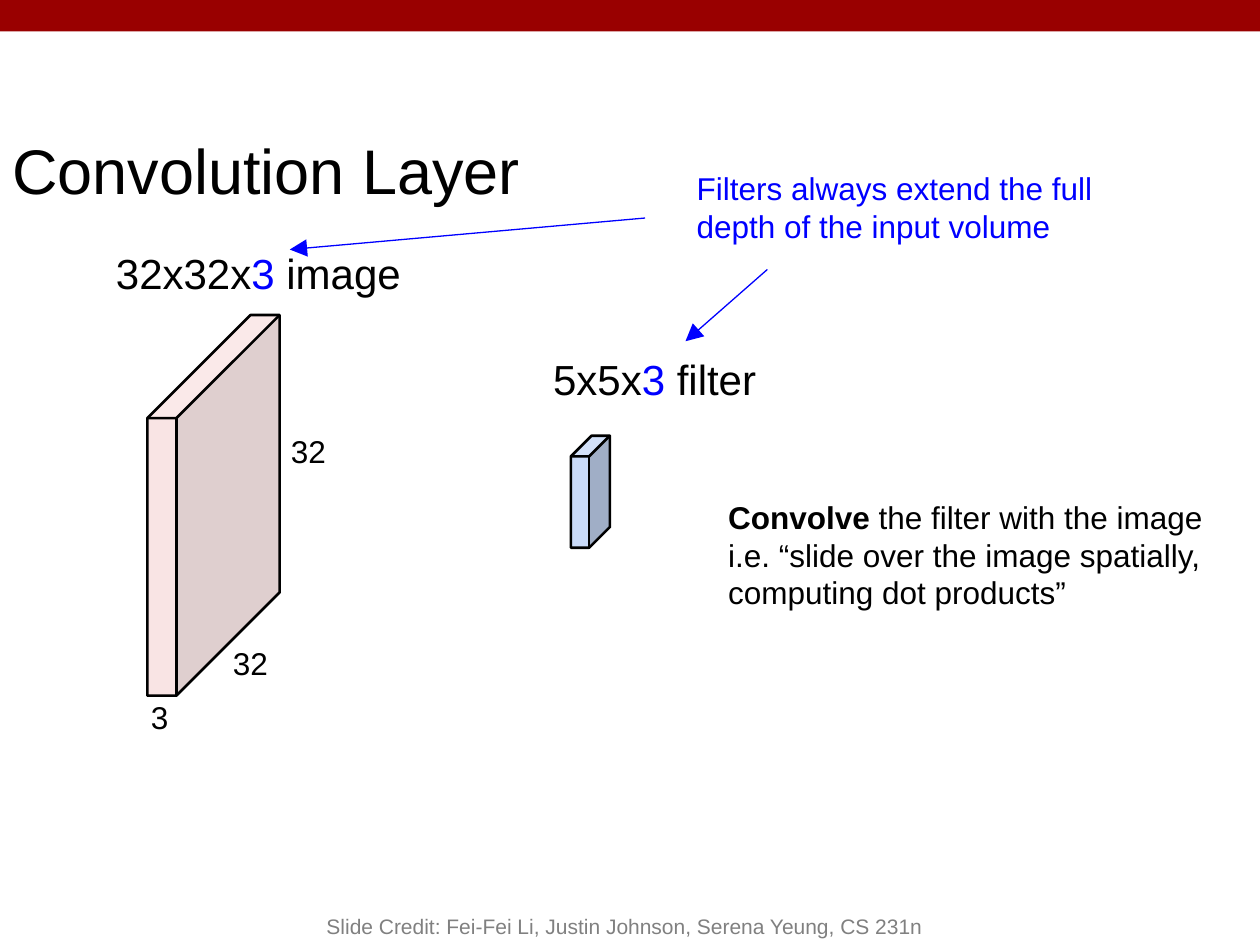
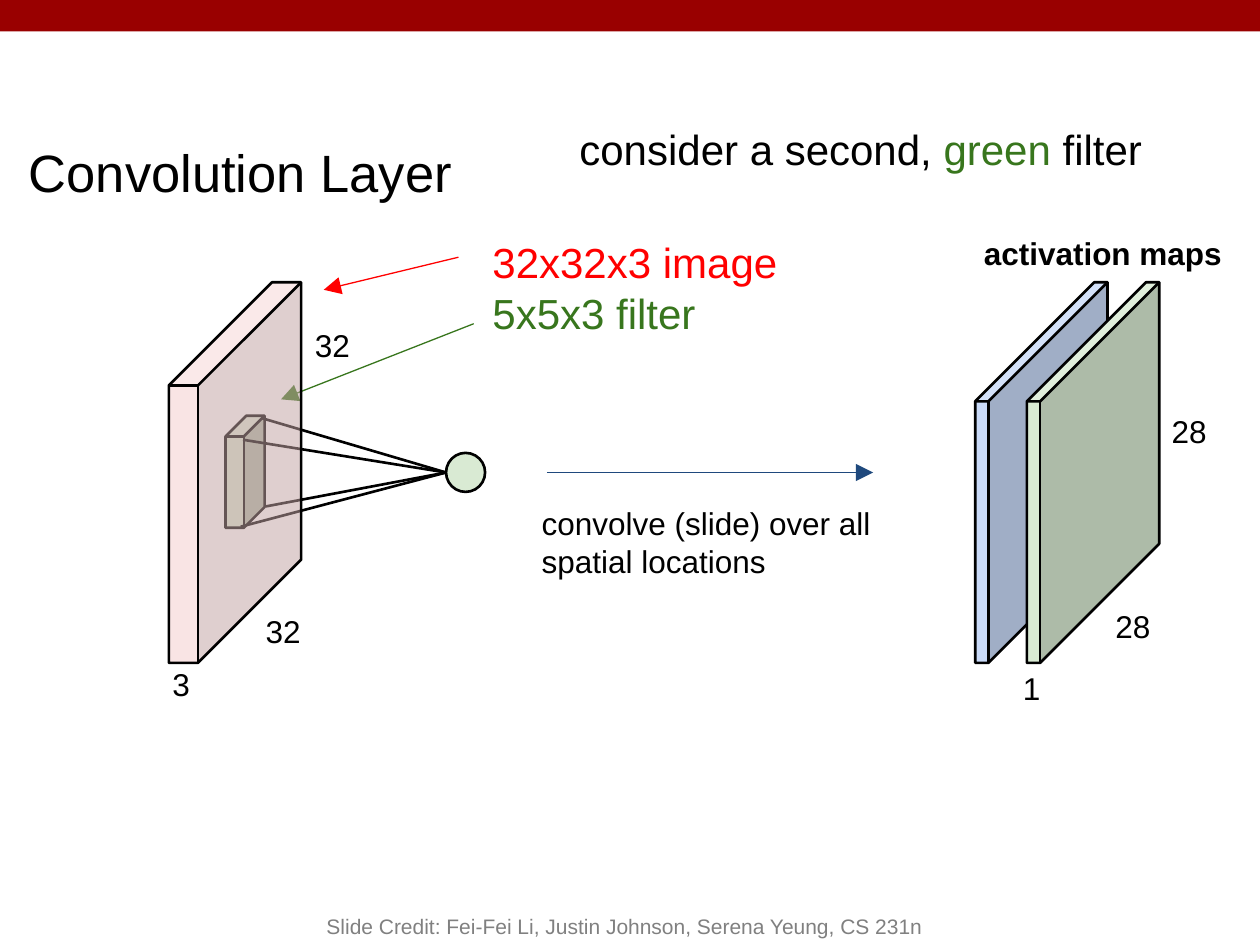
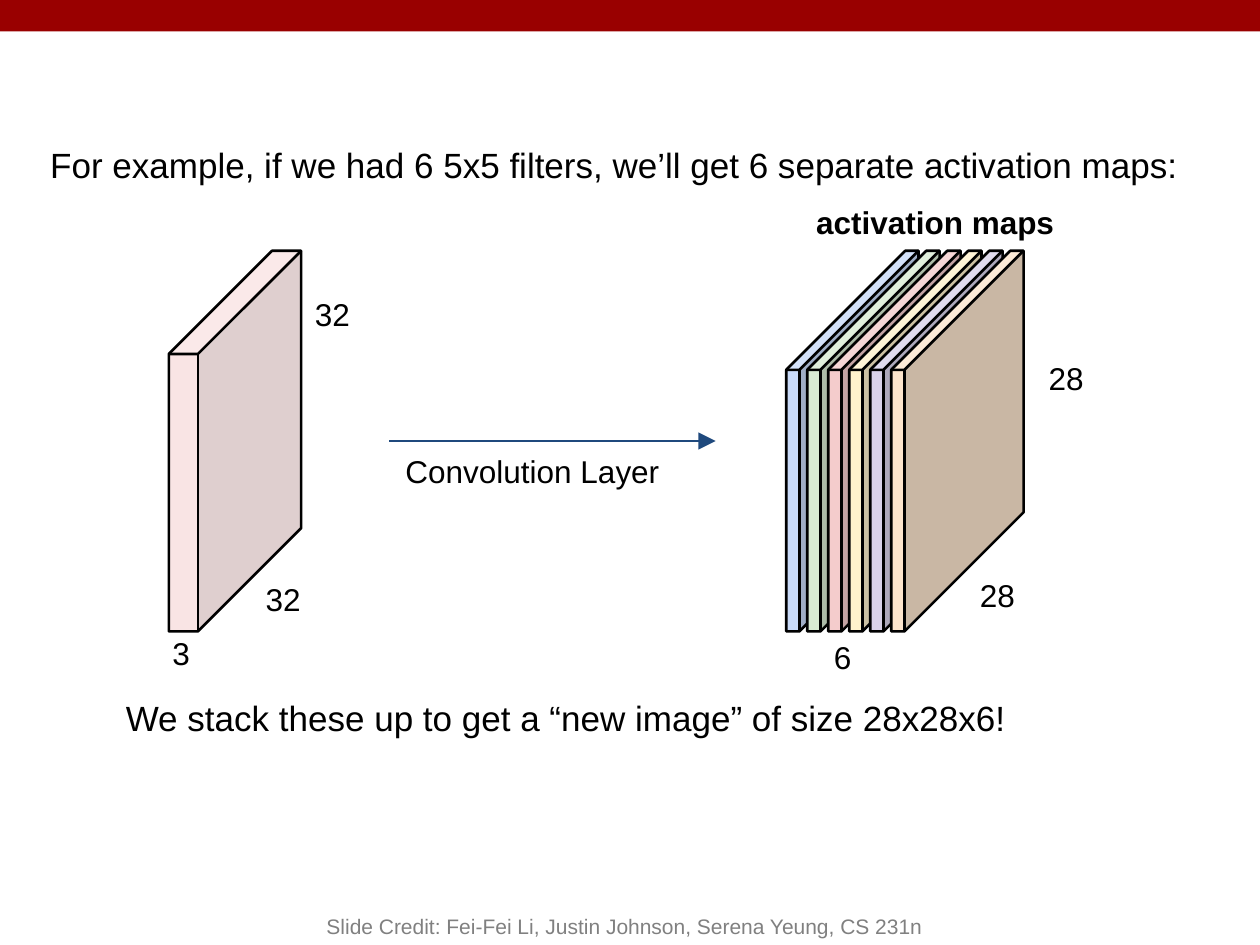
from lxml import etree
from pptx import Presentation
from pptx import util as u
from pptx.dml.color import RGBColor
from pptx.enum import shapes, text
from pptx.oxml import ns

COLORS = {
    "band": "990000", "black": "000000", "gray": "808080",
    "blue": "0000FF", "red": "FF0000", "green": "38761D", "navy": "1F497D",
    "image": "F4CCCC", "map_blue": "C9DAF8", "map_green": "D9EAD3",
    "map_pink": "F4CCCC", "map_yellow": "FFF2CC", "map_purple": "D9D2E9",
    "map_orange": "FCE5CD",
}
FONT = "Arial"
SLIDE_WIDTH, SLIDE_HEIGHT = 720, 540
VOLUME_SIZE = (75.6, 217.5)
FILTER_SIZE = (22.3, 64)
IMAGE_DEPTH, MAP_DEPTH, FILTER_DEPTH = 0.78, 0.9, 0.53


def color(name):
    return RGBColor.from_string(COLORS[name])


def points(lengths):
    return [u.Pt(length) for length in lengths]


def add_text(slide, box, paragraphs, size=18, ink="black", bold=False,
             align=None, anchor=text.MSO_ANCHOR.TOP, inset=7.2):
    shape = slide.shapes.add_textbox(*points(box))
    frame = shape.text_frame
    frame.word_wrap = True
    frame.vertical_anchor = anchor
    frame.margin_left = frame.margin_right = u.Pt(7.2)
    frame.margin_top = frame.margin_bottom = u.Pt(inset)
    if isinstance(paragraphs, str):
        paragraphs = [paragraphs]
    for index, pieces in enumerate(paragraphs):
        paragraph = frame.add_paragraph() if index else frame.paragraphs[0]
        paragraph.alignment = align
        if isinstance(pieces, str):
            pieces = [(pieces, {})]
        for words, changes in pieces:
            run = paragraph.add_run()
            run.text = words
            run.font.name = FONT
            run.font.size = u.Pt(size)
            run.font.bold = changes.get("bold", bold)
            run.font.color.rgb = color(changes.get("ink", ink))


def add_solid(slide, kind, box, fill, outline=True, depth=None, opacity=None):
    shape = slide.shapes.add_shape(kind, *points(box))
    shape.shadow.inherit = False
    shape.fill.solid()
    shape.fill.fore_color.rgb = color(fill)
    if outline:
        shape.line.color.rgb = color("black")
        shape.line.width = u.Pt(1.5)
    else:
        shape.line.fill.background()
    if depth is not None:
        shape.adjustments[0] = depth
    if opacity is not None:
        tone = shape.fill._xPr.find(".//" + ns.qn("a:srgbClr"))
        etree.SubElement(tone, ns.qn("a:alpha"), val=str(opacity * 1000))


def add_cube(slide, left, top, size, fill, depth, opacity=None):
    add_solid(slide, shapes.MSO_SHAPE.CUBE, (left, top, *size), fill,
              depth=depth, opacity=opacity)


def add_line(slide, start, end, ink="black", width=1.5, arrow=False):
    connector = slide.shapes.add_connector(
        shapes.MSO_CONNECTOR.STRAIGHT, *points((*start, *end)))
    connector.line.color.rgb = color(ink)
    connector.line.width = u.Pt(width)
    if arrow:
        etree.SubElement(connector.line._get_or_add_ln(), ns.qn("a:tailEnd"),
                         type="triangle", w="lg", len="lg")
    etree.SubElement(connector._element.spPr, ns.qn("a:effectLst"))


def add_arrow(slide, start, end, ink="navy"):
    add_line(slide, start, end, ink, width=0.75, arrow=True)


def add_label(slide, left, top, words):
    add_text(slide, (left, top, 39, 24), words)


def new_slide(presentation):
    slide = presentation.slides.add_slide(presentation.slide_layouts[6])
    add_solid(slide, shapes.MSO_SHAPE.RECTANGLE, (0, 0, SLIDE_WIDTH, 18),
              "band", outline=False)
    add_text(slide, (144, 504, 426, 36),
             "Slide Credit: Fei-Fei Li, Justin Johnson, Serena Yeung, CS 231n",
             size=12, ink="gray", align=text.PP_ALIGN.CENTER,
             anchor=text.MSO_ANCHOR.BOTTOM, inset=3.6)
    return slide


def image_volume(slide, left, top, height_label=(76.3, 18), width_label=(48.2, 181)):
    add_cube(slide, left, top, VOLUME_SIZE, "image", IMAGE_DEPTH, opacity=52)
    for (across, down), words in ((height_label, "32"), (width_label, "32"),
                                  ((-5, 211.7), "3")):
        add_label(slide, left + across, top + down, words)


def activation_maps(slide, left, top, fills, step, count, heading_shift, height_label):
    for index, fill in enumerate(fills):
        add_cube(slide, left + index * step, top, VOLUME_SIZE, fill, MAP_DEPTH)
    front = left + (len(fills) - 1) * step
    add_text(slide, (left + heading_shift, top - 34.6, 163, 42),
             "activation maps", bold=True)
    add_label(slide, left + 20.2, top + 213.8, count)
    add_label(slide, front + 43.5, top + 178.5, "28")
    add_label(slide, front + height_label[0], top + height_label[1], "28")


def receptive_field(slide, left, top):
    add_cube(slide, left, top, FILTER_SIZE, "map_green", FILTER_DEPTH)
    add_solid(slide, shapes.MSO_SHAPE.OVAL, (left + 126, top + 21.2, 22.3, 22.3),
              "map_green")
    neuron = (left + 126, top + 32.4)
    for across, down in ((8.6, 63.4), (10, 13.7), (20.9, 1.4), (23, 51.8)):
        add_line(slide, (left + across, top + down), neuron)


def filter_slide(presentation):
    slide = new_slide(presentation)
    add_text(slide, (0, 67.7, 606, 52), "Convolution Layer", size=36)
    image_volume(slide, 84.2, 180, height_label=(74.9, 59.8), width_label=(41.8, 180.7))
    add_cube(slide, 326.2, 249, FILTER_SIZE, "map_blue", FILTER_DEPTH)
    depth = ("3", {"ink": "blue"})
    add_text(slide, (309, 195, 166, 28),
             [[("5x5x", {}), depth, (" filter", {})]], size=24)
    add_text(slide, (59.2, 134, 264, 37),
             [[("32x32x", {}), depth, (" image", {})]], size=24)
    add_text(slide, (409, 277.2, 311, 60),
             [[("Convolve ", {"bold": True}), ("the filter with the image", {})],
              "i.e. “slide over the image spatially, computing dot products”"])
    add_text(slide, (391, 89.3, 258.5, 46),
             "Filters always extend the full depth of the input volume", ink="blue")
    add_arrow(slide, (438.5, 154), (391.7, 195), "blue")
    add_arrow(slide, (368.6, 124.6), (165.6, 142.6), "blue")


def second_filter_slide(presentation):
    slide = new_slide(presentation)
    add_text(slide, (9.4, 72.7, 606, 50), "Convolution Layer", size=30)
    add_text(slide, (324, 63.4, 399, 22),
             [[("consider a second, ", {}), ("green ", {"ink": "green"}),
               ("filter", {})]], size=24)
    receptive_field(slide, 128.9, 237.6)
    add_text(slide, (274.3, 128.2, 286.6, 43),
             [[("32x32x3 image", {"ink": "red"})],
              [("5x5x3 filter", {"ink": "green"})]], size=24)
    add_arrow(slide, (262, 147), (185, 165.6), "red")
    add_arrow(slide, (270.7, 185), (160.6, 228.2), "green")
    add_arrow(slide, (312.5, 270), (499, 270))
    add_text(slide, (302.4, 280.8, 257.8, 64),
             "convolve (slide) over all spatial locations")
    activation_maps(slide, 557.3, 161.3, ("map_blue", "map_green"), 29.5, "1",
                    heading_shift=-2.2, height_label=(75.6, 67))
    image_volume(slide, 96.5, 161.3)


def stacked_maps_slide(presentation):
    slide = new_slide(presentation)
    add_text(slide, (21.6, 74.9, 687, 30),
             "For example, if we had 6 5x5 filters, we’ll get 6 separate activation maps:",
             size=20)
    image_volume(slide, 96.5, 143.3)
    add_arrow(slide, (222.5, 252), (409, 252))
    add_text(slide, (224.6, 251.3, 257.8, 64), "Convolution Layer")
    activation_maps(slide, 449.3, 143.3,
                    ("map_blue", "map_green", "map_pink", "map_yellow",
                     "map_purple", "map_orange"), 12, "6",
                    heading_shift=10, height_label=(82.8, 54.7))
    add_text(slide, (64.8, 391, 679, 22),
             "We stack these up to get a “new image” of size 28x28x6!", size=20)


def main():
    presentation = Presentation()
    presentation.slide_width = u.Pt(SLIDE_WIDTH)
    presentation.slide_height = u.Pt(SLIDE_HEIGHT)
    filter_slide(presentation)
    second_filter_slide(presentation)
    stacked_maps_slide(presentation)
    presentation.save("out.pptx")


if __name__ == "__main__":
    main()
